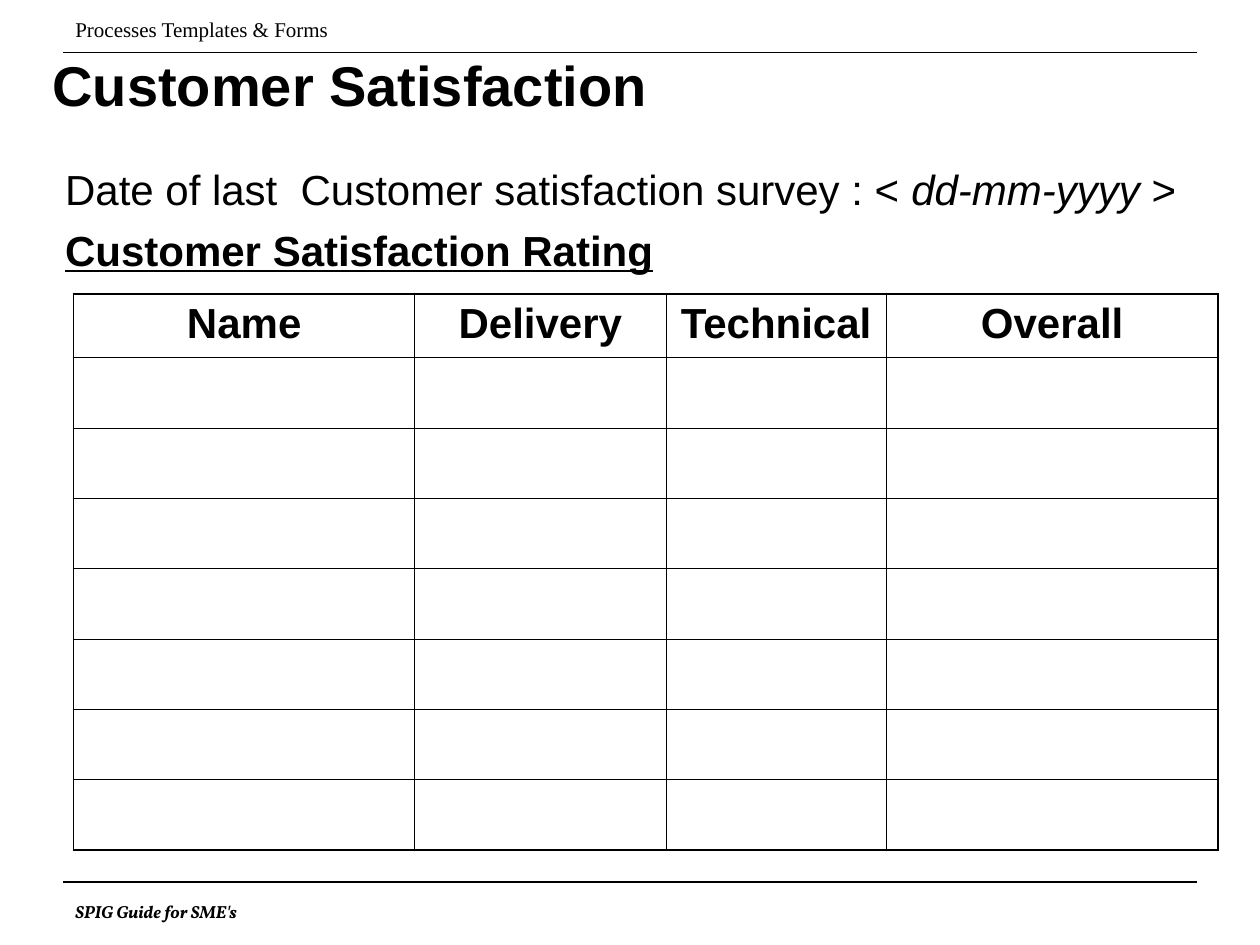
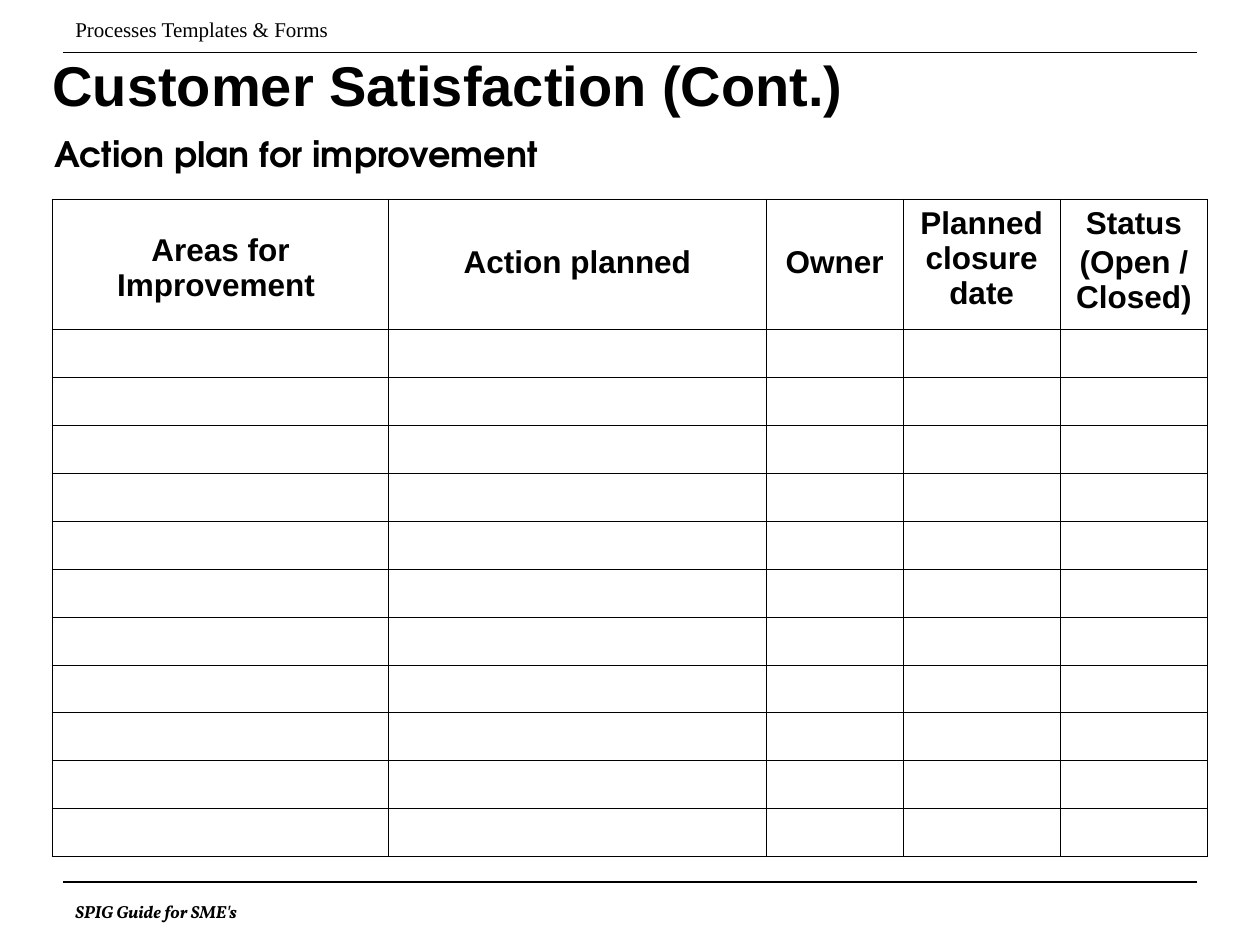
from lxml.etree import SubElement
from pptx import Presentation
from pptx.dml.color import RGBColor
from pptx.enum.shapes import MSO_CONNECTOR as Connector
from pptx.enum.text import MSO_ANCHOR as Anchor, MSO_AUTO_SIZE as AutoSize, PP_ALIGN as Align
from pptx.oxml.ns import qn
from pptx.util import Pt

COLORS = {"ink": "000000"}
INNER_BORDER, OUTER_BORDER = 0.45, 1.08
TITLE_ONLY, TITLE_AND_BODY = 5, 1


def add_span(para, text, font="Arial", size=24, color="ink",
             bold=False, italic=False, underline=False):
    span = para.add_run()
    span.text = text
    span.font.name = font
    span.font.size = Pt(size)
    span.font.color.rgb = RGBColor.from_string(COLORS[color])
    span.font.bold = bold
    span.font.italic = italic
    span.font.underline = underline


def place(box, left, top, width, height):
    box.left, box.top, box.width, box.height = map(Pt, (left, top, width, height))


def add_label(page, text, left, top, width, height, **style):
    box = page.shapes.add_textbox(Pt(left), Pt(top), Pt(width), Pt(height))
    box.text_frame.word_wrap = True
    add_span(box.text_frame.paragraphs[0], text, **style)


def add_rule(page, top):
    rule = page.shapes.add_connector(Connector.STRAIGHT, Pt(36), Pt(top), Pt(684), Pt(top))
    rule.line.color.rgb = RGBColor.from_string(COLORS["ink"])
    rule.line.width = Pt(0.75)
    SubElement(rule._element.spPr, qn("a:effectLst"))


def add_page(deck, layout, title):
    """Add a page with the shared header, footer and title."""
    page = deck.slides.add_slide(deck.slide_layouts[layout])
    add_rule(page, 504)
    add_label(page, "SPIG Guide for SME's", 36, 511.2, 180, 19.4,
              font="Vollkorn", size=10, bold=True, italic=True)
    add_rule(page, 30)
    add_label(page, "Processes Templates & Forms", 36, 6, 180, 21.6,
              font="Times New Roman", size=12)
    heading = page.shapes.title
    place(heading, 30, 18, 600, 60)
    frame = heading.text_frame
    frame.auto_size = AutoSize.NONE
    frame.vertical_anchor = Anchor.MIDDLE
    frame.margin_left = frame.margin_right = frame.margin_top = frame.margin_bottom = 0
    para = frame.paragraphs[0]
    para.alignment = Align.LEFT
    add_span(para, title, size=32, bold=True)
    return page


def fill_body(box, paragraphs):
    """Write paragraphs, each a list of (text, format) spans, without bullets."""
    frame = box.text_frame
    frame.auto_size = AutoSize.NONE
    for index, spans in enumerate(paragraphs):
        para = frame.add_paragraph() if index else frame.paragraphs[0]
        para.space_before = Pt(6 if index else 0)
        properties = para._p.get_or_add_pPr()
        properties.set("marL", str(Pt(18)))
        properties.set("indent", str(-Pt(18)))
        SubElement(properties, qn("a:buNone"))
        for text, style in spans:
            add_span(para, text, **style)


def set_borders(cell, **widths):
    properties = cell._tc.get_or_add_tcPr()
    for side in "LRTB":
        line = SubElement(properties, qn(f"a:ln{side}"), w=str(Pt(widths[side])))
        fill = SubElement(line, qn("a:solidFill"))
        SubElement(fill, qn("a:srgbClr"), val=COLORS["ink"])


def add_form(page, left, top, widths, header_height, row_height, blank_rows, headers, size):
    """Add an empty form; headers are (lines, extra top margin) per column."""
    height = header_height + blank_rows * row_height
    table = page.shapes.add_table(blank_rows + 1, len(widths), Pt(left), Pt(top),
                                  Pt(sum(widths)), Pt(height)).table
    table.first_row = table.horz_banding = False
    for column, width in zip(table.columns, widths):
        column.width = Pt(width)
    last_column = len(widths) - 1
    for r, row in enumerate(table.rows):
        row.height = Pt(row_height if r else header_height)
        for c, cell in enumerate(row.cells):
            set_borders(cell,
                        L=INNER_BORDER if c else OUTER_BORDER,
                        R=OUTER_BORDER if c == last_column else INNER_BORDER,
                        T=INNER_BORDER if r else OUTER_BORDER,
                        B=OUTER_BORDER if r == blank_rows else INNER_BORDER)
            cell.fill.background()
            if r:
                SubElement(cell.text_frame.paragraphs[0]._p, qn("a:endParaRPr"), sz="1200")
            else:
                fill_header(cell, *headers[c], size)


def fill_header(cell, lines, extra_margin, size):
    cell.margin_top = Pt(3.6 + extra_margin)
    for index, text in enumerate(lines):
        para = cell.text_frame.add_paragraph() if index else cell.text_frame.paragraphs[0]
        para.alignment = Align.CENTER
        para.space_before = Pt(2.2 if index else 0)
        add_span(para, text, size=size, bold=True)


def add_rating_page(deck):
    page = add_page(deck, TITLE_AND_BODY, "Customer Satisfaction")
    body = page.placeholders[1]
    place(body, 30, 90, 678, 396)
    fill_body(body, [
        [("Date of last  Customer satisfaction survey : < ", {}),
         ("dd-mm-yyyy", {"italic": True}), (" >", {})],
        [("Customer Satisfaction Rating", {"bold": True, "underline": True})],
    ])
    headers = [([name], 0) for name in ("Name", "Delivery", "Technical", "Overall")]
    add_form(page, 42, 168, [195, 143.5, 126, 189.5], 36.3, 40.2, 7, headers, size=24)


def add_action_page(deck):
    page = add_page(deck, TITLE_ONLY, "Customer Satisfaction (Cont.)")
    headers = [(["Areas for Improvement "], 15.4), (["Action planned"], 22.3),
               (["Owner"], 22.3), (["Planned closure date"], 0),
               (["Status", "(Open / Closed)"], 0)]
    add_form(page, 30, 114, [192, 216, 78, 90, 84], 74.2, 27.4, 11, headers, size=18)
    add_label(page, "Action plan for improvement", 24, 72, 444, 31.5,
              font="TeX Gyre Adventor", size=20, bold=True)


def main():
    deck = Presentation()
    deck.slide_width, deck.slide_height = Pt(720), Pt(540)
    add_rating_page(deck)
    add_action_page(deck)
    deck.save("out.pptx")


if __name__ == "__main__":
    main()
